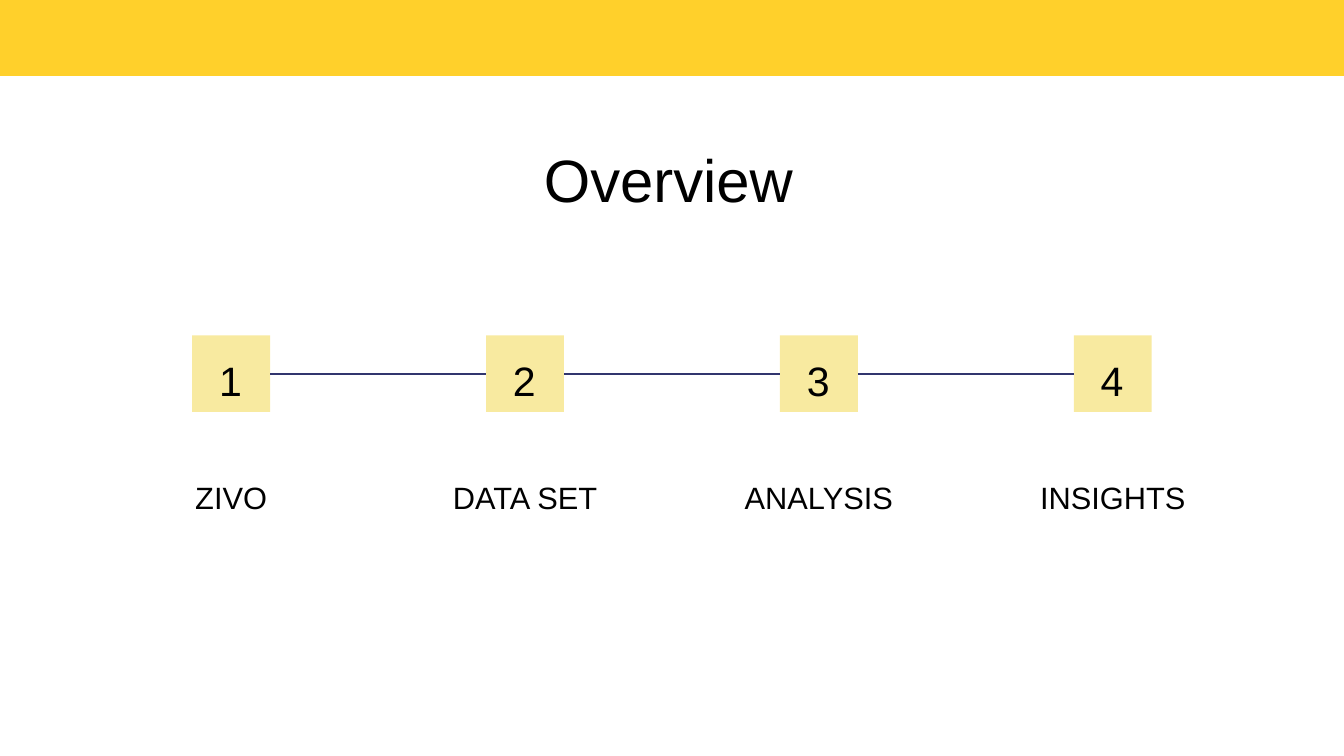
import pptx
import pptx.dml.color
import pptx.enum.shapes
import pptx.enum.text
import pptx.util
from lxml import etree

WIDTH, HEIGHT = 20, 11.25
YELLOW, CREAM, NAVY, BLACK = "FFD02B", "F8EAA0", "31356E", "000000"
STEPS = ["ZIVO", "DATA SET", "ANALYSIS", "INSIGHTS"]

inches = pptx.util.Inches


def color(hex_code):
    return pptx.dml.color.RGBColor.from_string(hex_code)


def add_block(slide, box, fill):
    block = slide.shapes.add_shape(
        pptx.enum.shapes.MSO_SHAPE.RECTANGLE, *map(inches, box))
    block.shadow.inherit = False
    block.fill.solid()
    block.fill.fore_color.rgb = color(fill)
    block.line.fill.background()
    return block


def add_text(slide, box, words, size, spacing, anchor="TOP"):
    frame = slide.shapes.add_textbox(*map(inches, box)).text_frame
    frame_format = {
        "margin_left": 0, "margin_right": 0, "margin_top": 0, "margin_bottom": 0,
        "word_wrap": True,
        "vertical_anchor": pptx.enum.text.MSO_ANCHOR[anchor],
    }
    for name, value in frame_format.items():
        setattr(frame, name, value)
    line = frame.paragraphs[0]
    line.alignment = pptx.enum.text.PP_ALIGN.CENTER
    line.line_spacing = spacing
    run = line.add_run()
    run.text = words
    for name, value in {"name": "Arial", "size": pptx.util.Pt(size)}.items():
        setattr(run.font, name, value)
    run.font.color.rgb = color(BLACK)


def add_link(slide, start, end):
    link = slide.shapes.add_connector(
        pptx.enum.shapes.MSO_CONNECTOR.STRAIGHT, 0, 0, 0, 0)
    link.begin_connect(start, 3)
    link.end_connect(end, 1)
    link.line.color.rgb = color(NAVY)
    link.line.width = pptx.util.Pt(2.25)
    properties = link._element.spPr
    etree.SubElement(properties, pptx.oxml.ns.qn("a:effectLst"))


def add_header(slide, box):
    """Yellow band with the title centred below it."""
    left, top, width, height = box
    add_block(slide, (left, top, width, 1.13), YELLOW)
    add_text(slide, (left + 1.12, top + 2.07, 17.65, height - 2.07),
             "Overview", 64, 1.05)


def add_timeline(slide, box):
    """Numbered squares spread evenly over the box, linked and labelled."""
    left, top, width, height = box
    square, label_width, label_height = 1.16, 3.17, 0.62
    pitch = (width - square) / (len(STEPS) - 1)
    previous = None
    for index, step in enumerate(STEPS):
        x = left + index * pitch
        marker = add_block(slide, (x, top, square, 1.14), CREAM)
        add_text(slide, (x, top - 0.11, 1.14, 1.25),
                 str(index + 1), 44, 1.4, "MIDDLE")
        add_text(slide, (x + (square - label_width) / 2,
                         top + height - label_height, label_width, label_height),
                 step, 33, 1.4)
        if previous is not None:
            add_link(slide, previous, marker)
        previous = marker


def main():
    deck = pptx.Presentation()
    deck.slide_width, deck.slide_height = inches(WIDTH), inches(HEIGHT)
    slide = deck.slides.add_slide(deck.slide_layouts[6])
    add_header(slide, (0, 0, WIDTH, 3.04))
    add_timeline(slide, (2.86, 4.99, 14.28, 2.54))
    deck.save("out.pptx")


if __name__ == "__main__":
    main()
